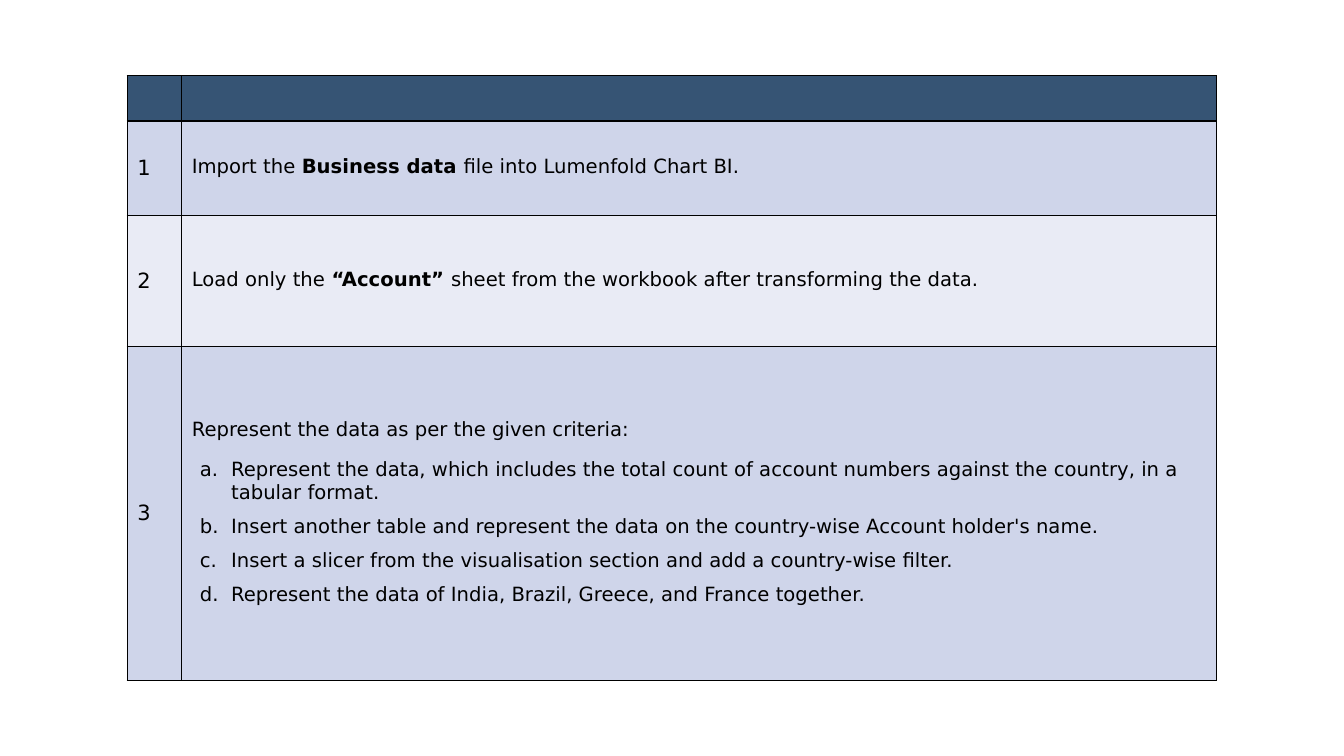
import lxml.etree
import pptx
import pptx.dml.color
import pptx.enum.text
import pptx.oxml.ns
import pptx.util

Pt = pptx.util.Pt
RGBColor = pptx.dml.color.RGBColor
qn = pptx.oxml.ns.qn

BLACK = RGBColor(0x00, 0x00, 0x00)
NAVY = RGBColor(0x36, 0x54, 0x74)
BLUE = RGBColor(0xCF, 0xD5, 0xEA)
PALE = RGBColor(0xE9, 0xEB, 0xF5)
FONT = "DejaVu Sans"

COLUMNS = [38.9, 739.4]
ROWS = [32.4, 67.7, 93.6, 238.3]
INTRO = {"line": 1.07, "before": 6, "after": 8}
TASKS = [
    [([("Import the ", False), ("Business data ", True),
       ("file into Lumenfold Chart BI.", False)], INTRO)],
    [([("Load only the ", False), ("“Account” ", True),
       ("sheet from the workbook after transforming the data.", False)],
      {"before": 2, "after": 2})],
    [([("Represent the data as per the given criteria:", False)], INTRO)],
]
CRITERIA = [
    "Represent the data, which includes the total count of account numbers "
    "against the country, in a tabular format.",
    "Insert another table and represent the data on the country-wise Account holder's name.",
    "Insert a slicer from the visualisation section and add a country-wise filter.",
    "Represent the data of India, Brazil, Greece, and France together.",
]


def write(p, text, size=14, bold=False):
    """Add a run of text to a paragraph."""
    r = p.add_run()
    r.text = text
    r.font.name = FONT
    r.font.size = Pt(size)
    r.font.bold = bold
    r.font.color.rgb = BLACK


def space(p, before, after, line=None):
    """Set the spacing of a paragraph."""
    p.space_before = Pt(before)
    p.space_after = Pt(after)
    if line:
        p.line_spacing = line


def letter(p):
    """Give a paragraph a hanging lower-case letter."""
    p.level = 1
    pPr = p._p.get_or_add_pPr()
    pPr.set("marL", str(Pt(28.1)))
    pPr.set("indent", str(Pt(-22.3)))
    lxml.etree.SubElement(pPr, qn("a:buFont"), typeface="+mj-lt")
    lxml.etree.SubElement(pPr, qn("a:buAutoNum"), type="alphaLcPeriod")


def style_cell(cell, color):
    """Fill a cell and draw its four borders."""
    cell.fill.solid()
    cell.fill.fore_color.rgb = color
    cell.vertical_anchor = pptx.enum.text.MSO_ANCHOR.MIDDLE
    tcPr = cell._tc.get_or_add_tcPr()
    for i, side in enumerate(["a:lnL", "a:lnR", "a:lnT", "a:lnB"]):
        ln = lxml.etree.Element(qn(side), w=str(Pt(1)))
        fill = lxml.etree.SubElement(ln, qn("a:solidFill"))
        lxml.etree.SubElement(fill, qn("a:srgbClr"), val=str(BLACK))
        tcPr.insert(i, ln)


def fill_task(cell, paragraphs):
    """Write the paragraphs of a task into its cell."""
    cell.margin_top = Pt(0)
    cell.margin_bottom = Pt(2.9)
    tf = cell.text_frame
    for i, (runs, spacing) in enumerate(paragraphs):
        p = tf.add_paragraph() if i else tf.paragraphs[0]
        space(p, **spacing)
        for text, bold in runs:
            write(p, text, bold=bold)


def add_criteria(cell):
    """Add the lettered criteria below the text of a cell."""
    for text in CRITERIA:
        p = cell.text_frame.add_paragraph()
        space(p, 4, 4)
        letter(p)
        write(p, text)


def add_task_table(s):
    """Add the table of numbered tasks."""
    table = s.shapes.add_table(len(ROWS), len(COLUMNS), Pt(90.9), Pt(54),
                               Pt(sum(COLUMNS)), Pt(sum(ROWS))).table
    for column, width in zip(table.columns, COLUMNS):
        column.width = Pt(width)
    for i, (row, height) in enumerate(zip(table.rows, ROWS)):
        row.height = Pt(height)
        for cell in row.cells:
            style_cell(cell, [NAVY, BLUE, PALE, BLUE][i])
    for number, paragraphs in enumerate(TASKS, 1):
        write(table.cell(number, 0).text_frame.paragraphs[0], str(number), size=15)
        fill_task(table.cell(number, 1), paragraphs)
    add_criteria(table.cell(len(TASKS), 1))


def main():
    """Build the slide and save it."""
    prs = pptx.Presentation()
    prs.slide_width = Pt(960)
    prs.slide_height = Pt(540)
    s = prs.slides.add_slide(prs.slide_layouts[6])
    add_task_table(s)
    prs.save("out.pptx")


if __name__ == "__main__":
    main()
